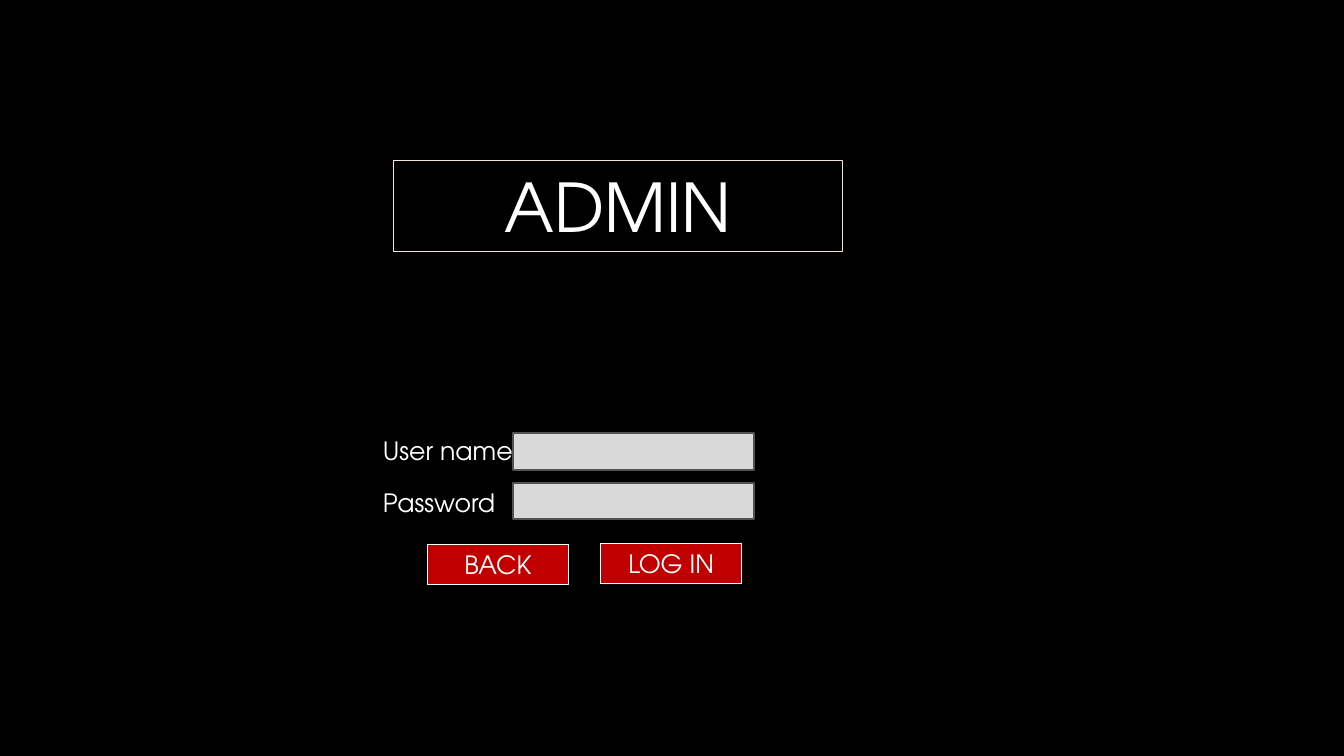
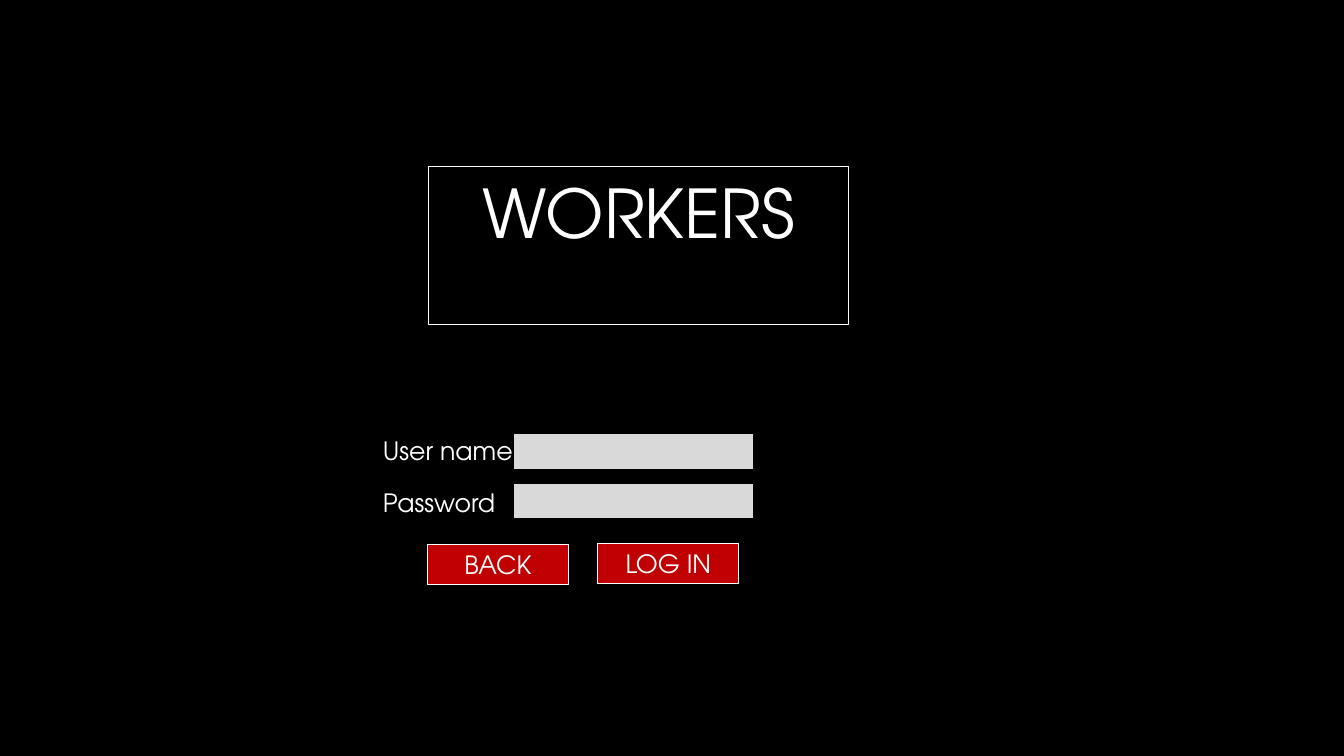
from pptx import Presentation
from pptx.dml.color import RGBColor
from pptx.enum import shapes, text
from pptx.util import Pt

BLACK = RGBColor(0x00, 0x00, 0x00)
WHITE = RGBColor(0xFF, 0xFF, 0xFF)
RED = RGBColor(0xC0, 0x00, 0x00)
FIELD_GRAY = RGBColor(0xD9, 0xD9, 0xD9)
DARK_GRAY = RGBColor(0x52, 0x52, 0x52)
CREAM = RGBColor(0xF5, 0xE3, 0xD6)
OFF_WHITE = RGBColor(0xFB, 0xFB, 0xFB)

FONT = "TeX Gyre Adventor"
LABEL_SIZE, TITLE_SIZE = 18, 48
LABEL_LEFT, FIELD_LEFT = 266.4, 366.5
FIELD_WIDTH, FIELD_HEIGHT = 172, 26
BUTTON_WIDTH, ROW_HEIGHT, TITLE_HEIGHT = 100.8, 29.08, 65.44

FRAME_FORMAT = {
    "word_wrap": True,
    "auto_size": text.MSO_AUTO_SIZE.SHAPE_TO_FIT_TEXT,
    "vertical_anchor": text.MSO_ANCHOR.TOP,
    "margin_left": Pt(7.2),
    "margin_right": Pt(7.2),
    "margin_top": Pt(3.6),
    "margin_bottom": Pt(3.6),
}


def write(shape, wording, size, alignment):
    frame = shape.text_frame
    for name, value in FRAME_FORMAT.items():
        setattr(frame, name, value)
    frame.text = wording
    paragraph = frame.paragraphs[0]
    paragraph.alignment = alignment
    font = paragraph.runs[0].font
    for name, value in {"name": FONT, "size": Pt(size)}.items():
        setattr(font, name, value)
    font.color.rgb = WHITE


def add_box(slide, left, top, width, height, fill, line, line_width):
    shape = slide.shapes.add_shape(
        shapes.MSO_SHAPE.RECTANGLE, Pt(left), Pt(top), Pt(width), Pt(height))
    shape.shadow.inherit = False
    shape.fill.solid()
    shape.fill.fore_color.rgb = fill
    shape.line.color.rgb = line
    shape.line.width = Pt(line_width)
    return shape


LOGINS = [
    {"title": "ADMIN", "left": 280.8, "top": 114.5, "width": 321.1,
     "title_line": CREAM, "field_line": DARK_GRAY, "log_in_left": 429.1},
    {"title": "WORKERS", "left": 306, "top": 118.8, "width": 300.2,
     "title_line": OFF_WHITE, "field_line": BLACK, "log_in_left": 427},
]
FIELDS = [
    ("User name", 307.4, 113.8, 309.6),
    ("Password", 344.2, 97.9, 344.9),
]

presentation = Presentation()
presentation.slide_width = Pt(960)
presentation.slide_height = Pt(540)
background = presentation.slide_master.background.fill
background.solid()
background.fore_color.rgb = BLACK

for login in LOGINS:
    slide = presentation.slides.add_slide(presentation.slide_layouts[5])

    title = slide.shapes.title
    placement = {"left": login["left"], "top": login["top"],
                 "width": login["width"], "height": TITLE_HEIGHT}
    for name, value in placement.items():
        setattr(title, name, Pt(value))
    title.line.color.rgb = login["title_line"]
    title.line.width = Pt(0.75)
    write(title, login["title"], TITLE_SIZE, text.PP_ALIGN.CENTER)

    for wording, label_top, label_width, field_top in FIELDS:
        label = slide.shapes.add_textbox(
            Pt(LABEL_LEFT), Pt(label_top), Pt(label_width), Pt(ROW_HEIGHT))
        write(label, wording, LABEL_SIZE, text.PP_ALIGN.LEFT)
        add_box(slide, FIELD_LEFT, field_top, FIELD_WIDTH, FIELD_HEIGHT,
                FIELD_GRAY, login["field_line"], 1.5)

    for wording, left, top in [("BACK", 305.3, 388.8),
                               ("LOG IN", login["log_in_left"], 388.1)]:
        button = add_box(slide, left, top, BUTTON_WIDTH, ROW_HEIGHT,
                         RED, WHITE, 0.75)
        write(button, wording, LABEL_SIZE, text.PP_ALIGN.CENTER)

presentation.save("out.pptx")
